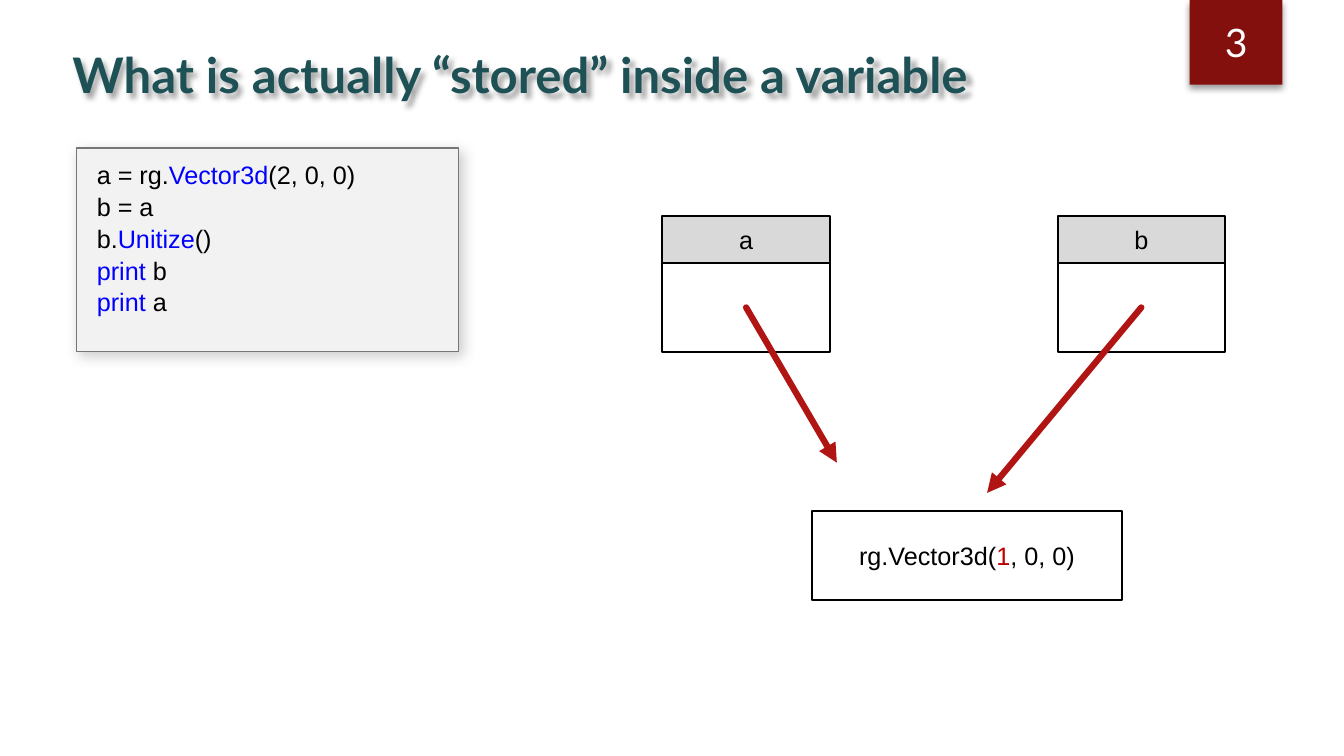
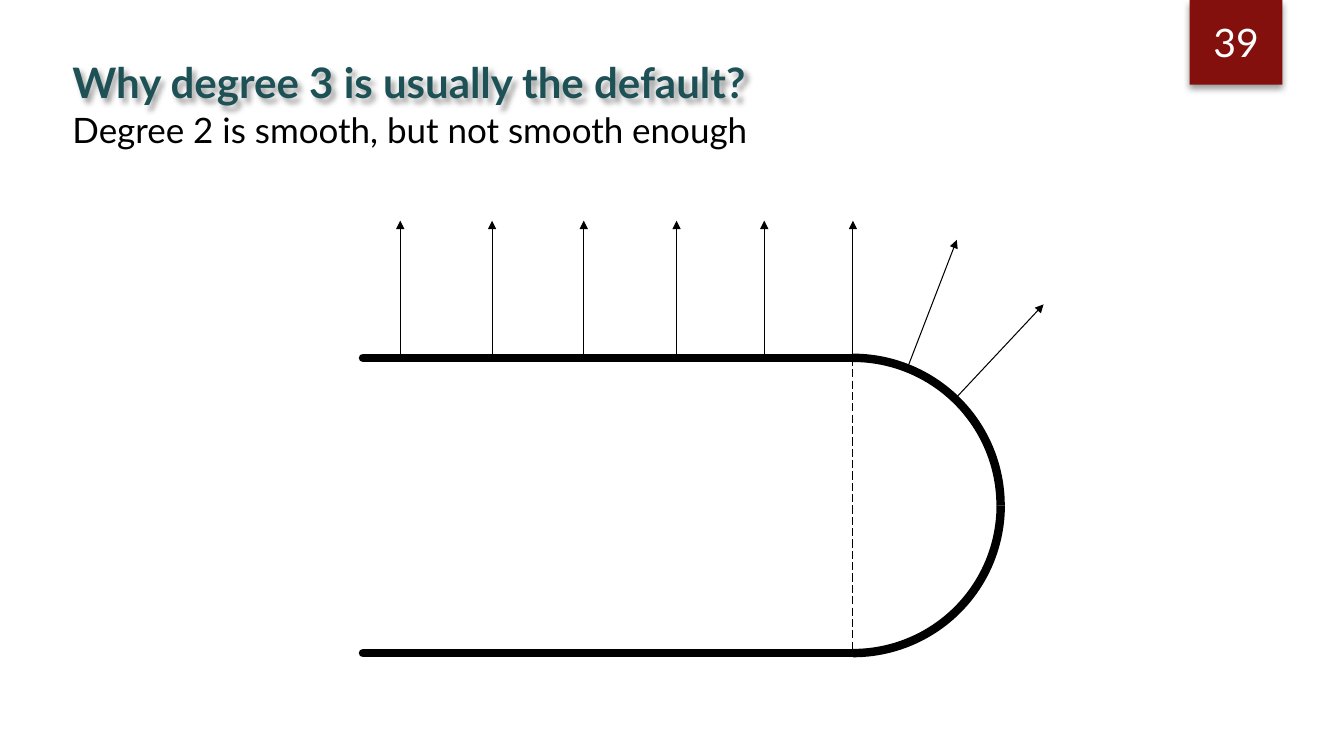
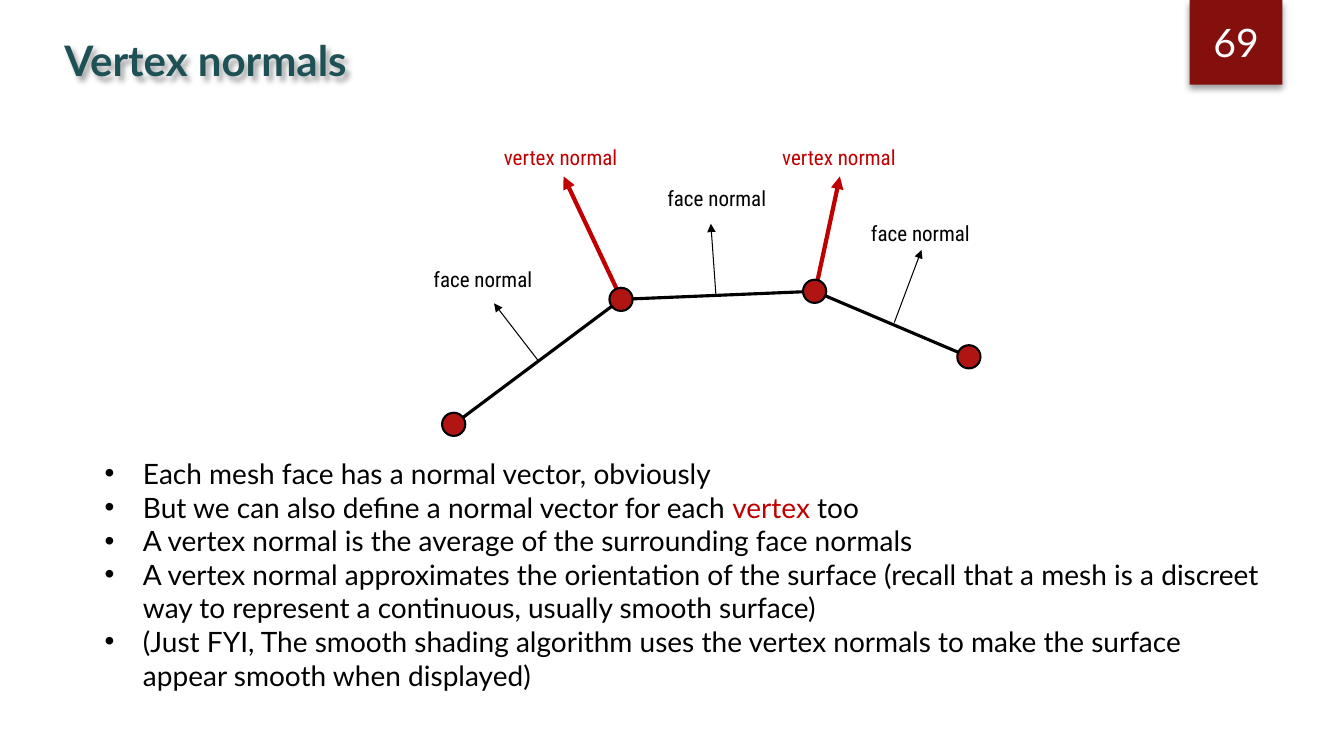
from itertools import pairwise

from lxml.etree import SubElement
from pptx import Presentation
from pptx.dml.color import RGBColor
from pptx.enum.dml import MSO_LINE
from pptx.enum.shapes import MSO_CONNECTOR, MSO_SHAPE
from pptx.enum.text import MSO_ANCHOR, MSO_AUTO_SIZE, PP_ALIGN
from pptx.oxml.ns import qn
from pptx.util import Inches, Pt

# Shared style
COLORS = {
    "title": "1E5155", "badge": "84100E", "white": "FFFFFF", "black": "000000",
    "keyword": "0000FF", "accent": "C00000", "pointer": "B01513",
    "code fill": "F2F2F2", "code line": "767676", "header": "D9D9D9",
}
BODY_FONT, CODE_FONT, LABEL_FONT = "Lato", "Arial", "Roboto Condensed"
# Shadows: opacity %, blur pt, distance pt, direction degrees
TITLE_SHADOW = (35, 4, 4, 45)
BADGE_SHADOW = (40, 5, 3, 90)
CODE_SHADOW = (20, 10, 3, 45)

# Slide 1 content: paragraphs are lists of (text, color) runs
CODE = [
    [("a = rg.", "black"), ("Vector3d", "keyword"), ("(2, 0, 0)", "black")],
    [("b = a", "black")],
    [("b.", "black"), ("Unitize", "keyword"), ("()", "black")],
    [("print", "keyword"), (" b", "black")],
    [("print", "keyword"), (" a", "black")],
]
STORED_OBJECT = [[("rg.Vector3d(", "black"), ("1", "accent"), (", 0, 0)", "black")]]
# Name, left edge, arrow tip
VARIABLES = [("a", 6.57, (8.3, 4.59)), ("b", 10.49, (9.79, 4.89))]

# Slide 2 content
SUBTITLE = "Degree 2 is smooth, but not smooth enough"
STRAIGHT_LEFT, STRAIGHT_RIGHT = 3.6, 8.46
CURVE_TOP, CURVE_SIZE = 3.55, 2.93
NORMAL_TIP_Y = 2.19
NORMAL_XS = [3.97, 4.88, 5.79, 6.71, 7.58, STRAIGHT_RIGHT]
ARC_NORMALS = [((9, 3.65), (9.49, 2.38)), ((9.47, 3.96), (10.35, 3.02))]

# Slide 3 content
VERTICES = [(4.5, 4.21), (6.16, 2.97), (8.08, 2.89), (9.61, 3.54)]
DOT_SIZE = 0.23
VERTEX_NORMALS = [((6.17, 2.98), (5.59, 1.75)), ((8.09, 2.87), (8.33, 1.75))]
FACE_NORMALS = [((5.34, 3.58), (4.9, 3.01)), ((7.1, 2.92), (7.05, 2.22)),
                ((8.87, 3.2), (9.14, 2.48))]
# Text, color, box width, box corners
LABELS = [
    ("face normal", "black", 1.19, [(4.2, 2.59), (6.52, 1.79), (8.54, 2.14)]),
    ("vertex normal", "accent", 1.33, [(4.9, 1.38), (7.66, 1.38)]),
]
BULLETS = [
    [("Each mesh face has a normal vector, obviously", "black")],
    [("But we can also define a normal vector for each ", "black"),
     ("vertex", "accent"), (" too", "black")],
    [("A vertex normal is the average of the surrounding face normals", "black")],
    [("A vertex normal approximates the orientation of the surface (recall that a mesh "
      "is a discreet way to represent a continuous, usually smooth surface)", "black")],
    [("(Just FYI, The smooth shading algorithm uses the vertex normals to make the "
      "surface appear smooth when displayed)", "black")],
]


def rgb(name):
    return RGBColor.from_string(COLORS[name])


def add_shadow(shape, opacity, blur, distance, direction):
    shape.shadow.inherit = False
    effects = shape._element.spPr.find(qn("a:effectLst"))
    shadow = SubElement(effects, qn("a:outerShdw"), blurRad=str(Pt(blur)),
                        dist=str(Pt(distance)), dir=str(direction * 60000),
                        algn="ctr", rotWithShape="0")
    color = SubElement(shadow, qn("a:srgbClr"), val=COLORS["black"])
    SubElement(color, qn("a:alpha"), val=str(opacity * 1000))


def add_bullet(paragraph):
    properties = paragraph._p.get_or_add_pPr()
    properties.set("marL", str(Inches(0.38)))
    properties.set("indent", str(-Inches(0.38)))
    SubElement(properties, qn("a:buFont"), typeface="Arial")
    SubElement(properties, qn("a:buChar"), char="•")


def write(shape, paragraphs, size, font=BODY_FONT, bold=False, align=PP_ALIGN.LEFT,
          bullets=False):
    frame = shape.text_frame
    for index, runs in enumerate(paragraphs):
        paragraph = frame.add_paragraph() if index else frame.paragraphs[0]
        paragraph.alignment = align
        if bullets:
            add_bullet(paragraph)
        for text, color in runs:
            run = paragraph.add_run()
            run.text = text
            run.font.size = Pt(size)
            run.font.name = font
            run.font.bold = bold
            run.font.color.rgb = rgb(color)


def add_text(slide, box, paragraphs, size, wrap=True, **style):
    text_box = slide.shapes.add_textbox(*map(Inches, box))
    text_box.text_frame.word_wrap = wrap
    if not wrap:
        text_box.text_frame.auto_size = MSO_AUTO_SIZE.SHAPE_TO_FIT_TEXT
    write(text_box, paragraphs, size, **style)
    return text_box


def add_figure(slide, kind, box, fill=None, line=None, width=1.5):
    shape = slide.shapes.add_shape(kind, *map(Inches, box))
    shape.shadow.inherit = False
    if fill:
        shape.fill.solid()
        shape.fill.fore_color.rgb = rgb(fill)
    else:
        shape.fill.background()
    if line:
        shape.line.color.rgb = rgb(line)
        shape.line.width = Pt(width)
    else:
        shape.line.fill.background()
    shape.text_frame.vertical_anchor = MSO_ANCHOR.MIDDLE
    return shape


def add_line(slide, start, end, color="black", width=0.75, arrow=False,
             round_cap=False, dash=None):
    connector = slide.shapes.add_connector(
        MSO_CONNECTOR.STRAIGHT, *map(Inches, (*start, *end)))
    connector.line.color.rgb = rgb(color)
    connector.line.width = Pt(width)
    if dash:
        connector.line.dash_style = dash
    outline = connector.line._get_or_add_ln()
    if round_cap:
        outline.set("cap", "rnd")
    if arrow:
        SubElement(outline, qn("a:tailEnd"), type="triangle")
    SubElement(connector._element.spPr, qn("a:effectLst"))


def new_slide(presentation, number, title, left, top, size):
    """Blank slide with the shared title and page badge."""
    slide = presentation.slides.add_slide(presentation.slide_layouts[6])
    heading = add_text(slide, (left, top, 10.92, 0.64), [[(title, "title")]], size,
                       bold=True)
    add_shadow(heading, *TITLE_SHADOW)
    badge = add_figure(slide, MSO_SHAPE.RECTANGLE, (11.8, 0, 0.92, 0.84), "badge")
    add_shadow(badge, *BADGE_SHADOW)
    write(badge, [[(str(number), "white")]], 28, align=PP_ALIGN.CENTER)
    return slide


def build_variable_slide(presentation):
    slide = new_slide(presentation, 3, "What is actually “stored” inside a variable",
                      0.62, 0.39, 35)
    # Code panel
    panel = add_figure(slide, MSO_SHAPE.RECTANGLE, (0.76, 1.47, 3.79, 2.02),
                       "code fill", "code line", 1)
    add_shadow(panel, *CODE_SHADOW)
    frame = panel.text_frame
    frame.vertical_anchor = MSO_ANCHOR.TOP
    frame.margin_left = frame.margin_right = Inches(0.2)
    frame.margin_top = frame.margin_bottom = Inches(0.1)
    write(panel, CODE, 18, CODE_FONT)
    for paragraph in frame.paragraphs:
        paragraph.line_spacing = 1.05

    # Variables pointing at the same object
    top, width, header, body = 2.14, 1.66, 0.47, 0.88
    for name, left, tip in VARIABLES:
        name_box = add_figure(slide, MSO_SHAPE.RECTANGLE, (left, top, width, header),
                              "header", "black")
        write(name_box, [[(name, "black")]], 18, CODE_FONT, align=PP_ALIGN.CENTER)
        add_figure(slide, MSO_SHAPE.RECTANGLE, (left, top + header, width, body),
                   line="black")
        center = (left + width / 2, top + header + body / 2)
        add_line(slide, center, tip, "pointer", 4.5, arrow=True, round_cap=True)
    stored = add_figure(slide, MSO_SHAPE.RECTANGLE, (8.05, 5.07, 3.08, body),
                        "white", "black")
    write(stored, STORED_OBJECT, 18, CODE_FONT, align=PP_ALIGN.CENTER)


def build_degree_slide(presentation):
    slide = new_slide(presentation, 39, "Why degree 3 is usually the default?",
                      0.62, 0.51, 30)
    add_text(slide, (0.62, 1.03, 7.09, 0.52), [[(SUBTITLE, "black")]], 25, wrap=False)

    # Curve: two straight sides joined by two quarter arcs
    bottom = CURVE_TOP + CURVE_SIZE
    for y in (CURVE_TOP, bottom):
        add_line(slide, (STRAIGHT_LEFT, y), (STRAIGHT_RIGHT, y), width=6, round_cap=True)
    for rotation in (0, 90):
        arc = add_figure(slide, MSO_SHAPE.ARC,
                         (STRAIGHT_RIGHT - CURVE_SIZE / 2, CURVE_TOP,
                          CURVE_SIZE, CURVE_SIZE), line="black", width=6)
        arc.rotation = rotation

    # Normals and the seam
    straight_normals = [((x, CURVE_TOP), (x, NORMAL_TIP_Y)) for x in NORMAL_XS]
    for start, tip in straight_normals + ARC_NORMALS:
        add_line(slide, start, tip, arrow=True)
    add_line(slide, (STRAIGHT_RIGHT, CURVE_TOP), (STRAIGHT_RIGHT, bottom),
             dash=MSO_LINE.LONG_DASH)


def build_normals_slide(presentation):
    slide = new_slide(presentation, 69, "Vertex normals", 0.54, 0.29, 30)
    # Mesh section with its normals
    for start, tip in VERTEX_NORMALS:
        add_line(slide, start, tip, "accent", 3, arrow=True)
    for start, end in pairwise(VERTICES):
        add_line(slide, start, end, width=2.25)
    for x, y in VERTICES:
        add_figure(slide, MSO_SHAPE.OVAL,
                   (x - DOT_SIZE / 2, y - DOT_SIZE / 2, DOT_SIZE, DOT_SIZE),
                   "pointer", "black")
    for start, tip in FACE_NORMALS:
        add_line(slide, start, tip, arrow=True)
    for text, color, width, corners in LABELS:
        for left, top in corners:
            add_text(slide, (left, top, width, 0.35), [[(text, color)]], 15,
                     wrap=False, font=LABEL_FONT)
    # Explanation
    add_text(slide, (0.94, 4.48, 11.77, 2.46), BULLETS, 20, bullets=True)


def main():
    presentation = Presentation()
    presentation.slide_width = Inches(13.33)
    presentation.slide_height = Inches(7.5)
    build_variable_slide(presentation)
    build_degree_slide(presentation)
    build_normals_slide(presentation)
    presentation.save("out.pptx")


if __name__ == "__main__":
    main()
